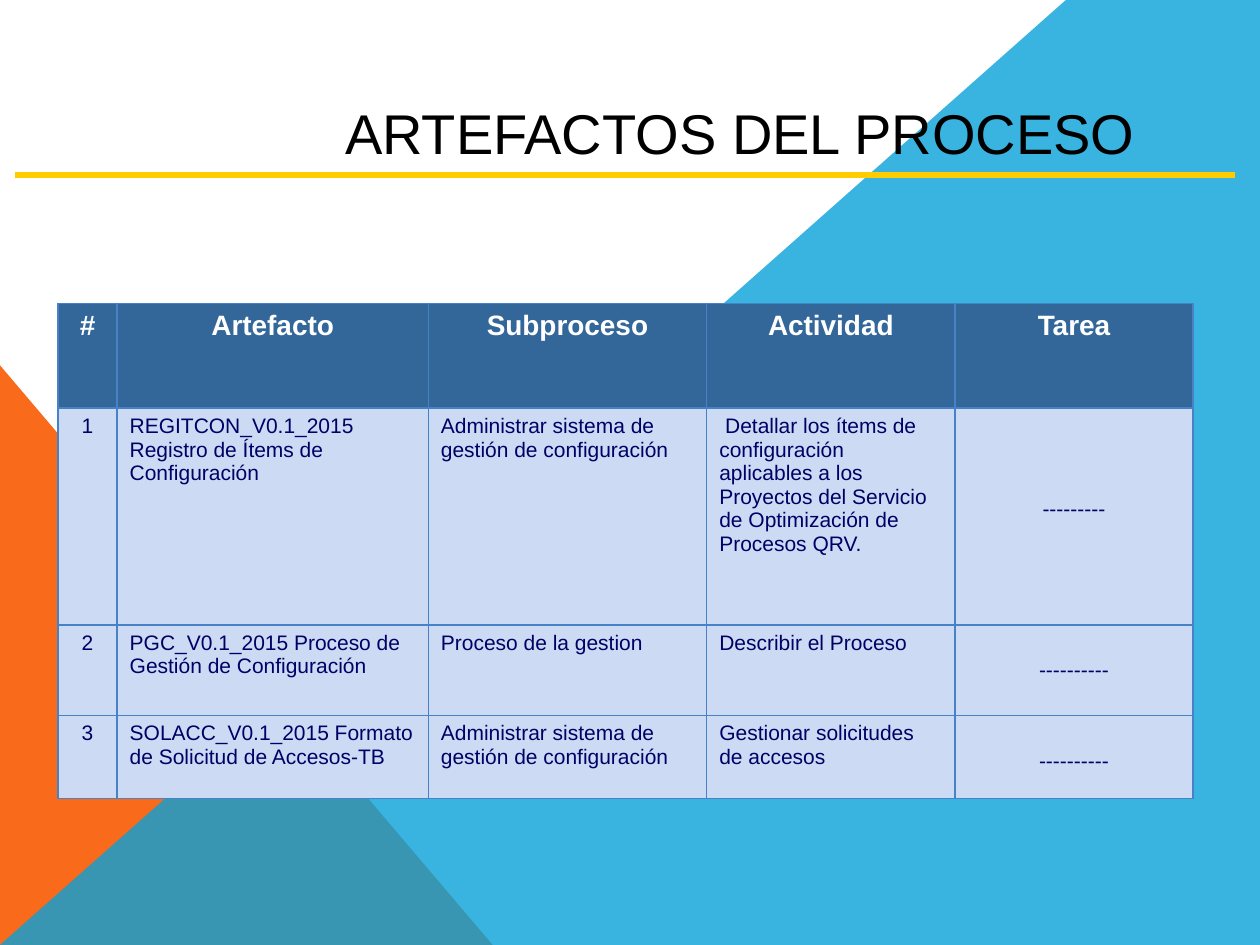
import pptx
import pptx.dml.color
import pptx.enum.shapes
import pptx.enum.text
import pptx.oxml.ns
import pptx.util
from lxml import etree

Inches = pptx.util.Inches
Pt = pptx.util.Pt
RGBColor = pptx.dml.color.RGBColor
MSO_SHAPE = pptx.enum.shapes.MSO_SHAPE
PP_ALIGN = pptx.enum.text.PP_ALIGN
qn = pptx.oxml.ns.qn

WHITE = RGBColor(0xFF, 0xFF, 0xFF)
BLACK = RGBColor(0x00, 0x00, 0x00)
ORANGE = RGBColor(0xF9, 0x6A, 0x1B)
SKY = RGBColor(0x08, 0xA1, 0xD9)
YELLOW = RGBColor(0xFF, 0xCC, 0x00)
HEADER_BLUE = RGBColor(0x33, 0x66, 0x99)
PALE_BLUE = RGBColor(0xCD, 0xDA, 0xF3)
BORDER_BLUE = RGBColor(0x47, 0x82, 0xC9)
NAVY = RGBColor(0x00, 0x00, 0x66)

HEADINGS = ["#", "Artefacto", "Subproceso", "Actividad", "Tarea"]
ARTIFACTS = [
    ["1", "REGITCON_V0.1_2015 Registro de Ítems de Configuración",
     "Administrar sistema de gestión de configuración",
     " Detallar los ítems de configuración aplicables a los Proyectos del "
     "Servicio de Optimización de Procesos QRV.", "---------"],
    ["2", "PGC_V0.1_2015 Proceso de Gestión de Configuración",
     "Proceso de la gestion", "Describir el Proceso", "----------"],
    ["3", "SOLACC_V0.1_2015 Formato de Solicitud de Accesos-TB",
     "Administrar sistema de gestión de configuración",
     "Gestionar solicitudes de accesos", "----------"],
]
COLUMN_WIDTHS = [0.47, 2.47, 2.21, 1.97, 1.89]
ROW_HEIGHTS = [0.83, 1.72, 0.72, 0.66]
TASK_TOP_MARGINS = [0.71, 0.27, 0.27]
CENTERED_COLUMNS = (0, 4)
TASK_COLUMN = 4


class SlideBuilder:
    def __init__(self, slide, font="Arial"):
        self.slide = slide
        self.font = font

    def style_text(self, frame, text, size, color, bold=False, align=PP_ALIGN.LEFT):
        frame.text = text
        paragraph = frame.paragraphs[0]
        paragraph.alignment = align
        font = paragraph.runs[0].font
        font.name, font.size, font.bold = self.font, Pt(size), bold
        font.color.rgb = color

    def paint(self, shape, color, opacity=100):
        shape.shadow.inherit = False
        shape.line.fill.background()
        shape.fill.solid()
        shape.fill.fore_color.rgb = color
        if opacity < 100:
            tint = shape.fill._xPr.find(".//" + qn("a:srgbClr"))
            etree.SubElement(tint, qn("a:alpha"), val=str(opacity * 1000))

    def triangle(self, left, top, width, height, color):
        corner = self.slide.shapes.add_shape(
            MSO_SHAPE.RIGHT_TRIANGLE, Inches(left), Inches(top), Inches(width), Inches(height))
        self.paint(corner, color)

    def polygon(self, points, color, opacity):
        start, *rest = [(Inches(x), Inches(y)) for x, y in points]
        outline = self.slide.shapes.build_freeform(*start)
        outline.add_line_segments(rest, close=True)
        self.paint(outline.convert_to_shape(), color, opacity)

    def title(self, left, top, width, height, text):
        box = self.slide.shapes.add_textbox(
            Inches(left), Inches(top), Inches(width), Inches(height))
        box.text_frame.word_wrap = False
        self.style_text(box.text_frame, text, 32, BLACK)

    def rule(self, left, right, y, color, weight):
        line = self.slide.shapes.add_connector(
            pptx.enum.shapes.MSO_CONNECTOR.STRAIGHT,
            Inches(left), Inches(y), Inches(right), Inches(y))
        line.line.color.rgb = color
        line.line.width = Pt(weight)
        etree.SubElement(line._element.spPr, qn("a:effectLst"))

    def cell_borders(self, cell, color, weight):
        properties = cell._tc.get_or_add_tcPr()
        for side in ("lnL", "lnR", "lnT", "lnB"):
            border = etree.SubElement(properties, qn("a:" + side), w=str(Pt(weight)))
            fill = etree.SubElement(border, qn("a:solidFill"))
            etree.SubElement(fill, qn("a:srgbClr"), val=str(color))

    def cell(self, cell, text, fill, size, color, bold, align):
        self.cell_borders(cell, BORDER_BLUE, 1)
        cell.fill.solid()
        cell.fill.fore_color.rgb = fill
        self.style_text(cell.text_frame, text, size, color, bold, align)

    def artifact_table(self, left, top):
        table = self.slide.shapes.add_table(
            len(ROW_HEIGHTS), len(COLUMN_WIDTHS), Inches(left), Inches(top),
            Inches(sum(COLUMN_WIDTHS)), Inches(sum(ROW_HEIGHTS))).table
        for column, width in zip(table.columns, COLUMN_WIDTHS):
            column.width = Inches(width)
        for row, height in zip(table.rows, ROW_HEIGHTS):
            row.height = Inches(height)
        for c, heading in enumerate(HEADINGS):
            self.cell(table.cell(0, c), heading, HEADER_BLUE, 16, WHITE, True, PP_ALIGN.CENTER)
        for r, artifact in enumerate(ARTIFACTS, start=1):
            for c, text in enumerate(artifact):
                align = PP_ALIGN.CENTER if c in CENTERED_COLUMNS else PP_ALIGN.LEFT
                self.cell(table.cell(r, c), text, PALE_BLUE, 12, NAVY, False, align)
            table.cell(r, TASK_COLUMN).margin_top = Inches(TASK_TOP_MARGINS[r - 1])


def main():
    deck = pptx.Presentation()
    deck.slide_width, deck.slide_height = Inches(10), Inches(7.5)
    slide = deck.slides.add_slide(deck.slide_layouts[6])
    slide.background.fill.solid()
    slide.background.fill.fore_color.rgb = WHITE

    builder = SlideBuilder(slide)
    builder.triangle(0, 2.9, 3.91, 4.6, ORANGE)
    builder.polygon([(0, 7.5), (8.46, 0), (10, 0), (10, 7.5)], SKY, opacity=80)
    builder.title(2.64, 0.73, 6.53, 0.64, "ARTEFACTOS DEL PROCESO")
    builder.artifact_table(0.46, 2.41)
    builder.rule(0.12, 9.8, 1.39, YELLOW, 3)
    deck.save("out.pptx")


if __name__ == "__main__":
    main()
